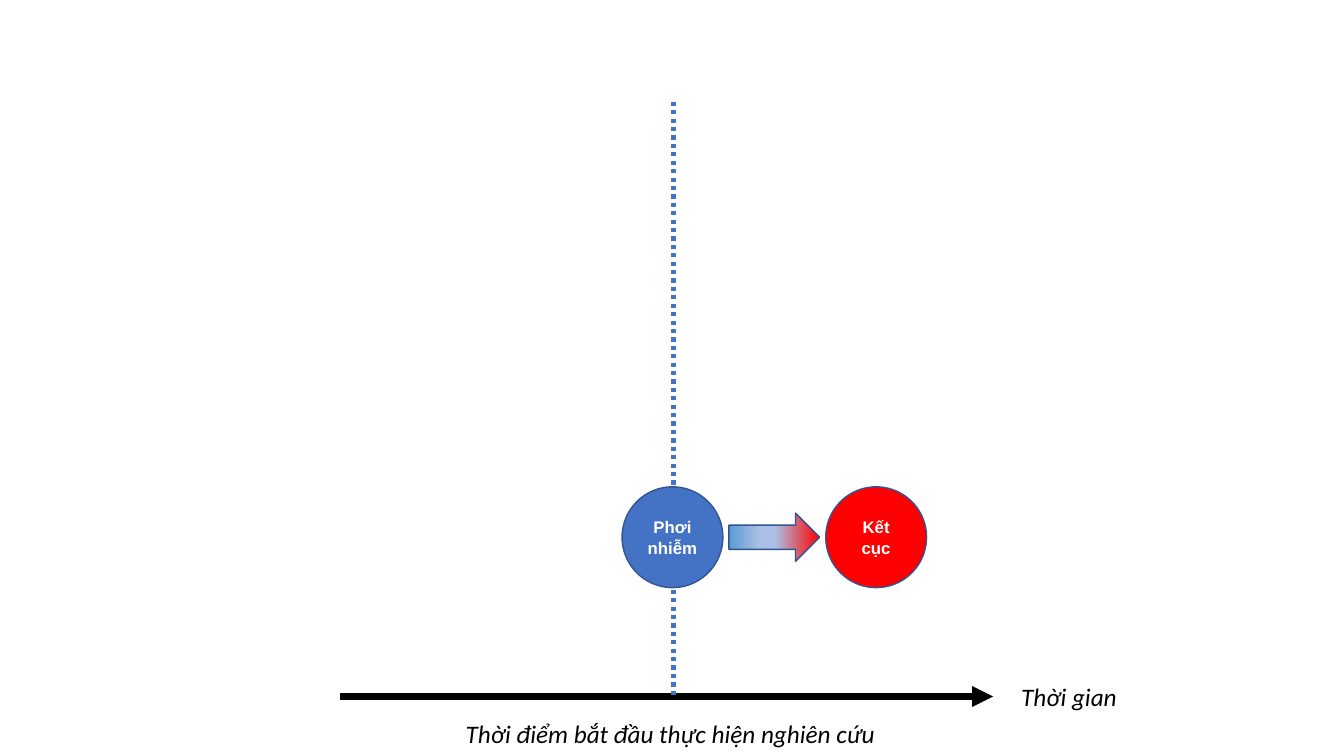
"""Draw a cohort study timeline from exposure to outcome."""
from dataclasses import dataclass

import lxml.etree
import pptx
import pptx.dml.color
import pptx.enum.dml
import pptx.enum.shapes
import pptx.enum.text
import pptx.oxml.ns
import pptx.shapes.autoshape
import pptx.shapes.base
import pptx.slide
import pptx.text.text
import pptx.util

Inches = pptx.util.Inches
Form = pptx.enum.shapes.MSO_SHAPE
qn = pptx.oxml.ns.qn

COLORS = {
    "ink": "000000",
    "white": "FFFFFF",
    "blue": "4472C4",
    "red": "FF0000",
    "edge": "325491",
    "sky": "5B9BD5",
    "pale": "ABC0E4",
}
BLEND = ((0, "sky"), (34, "pale"), (51, "pale"), (100, "red"))


@dataclass
class Rule:
    start: tuple[float, float]
    end: tuple[float, float]
    color: str
    width: float
    dotted: bool = False
    arrow: bool = False


@dataclass
class Label:
    text: str
    left: float
    top: float
    width: float
    height: float = 0.4


@dataclass
class Stage:
    text: str
    left: float
    color: str
    top: float = 4.83
    size: float = 1


AXIS = Rule((3.37, 6.91), (9.85, 6.91), "ink", 5, arrow=True)
START = Rule((6.68, 1.01), (6.68, 6.9), "blue", 3, dotted=True)
LABELS = (
    Label("Thời gian", 10.03, 6.71, 1.15),
    Label("Thời điểm bắt đầu thực hiện nghiên cứu", 4.52, 7.08, 4.31),
)
STAGES = (Stage("Phơi nhiễm", 6.17, "blue"), Stage("Kết cục", 8.19, "red"))


def tint(name: str) -> pptx.dml.color.RGBColor:
    return pptx.dml.color.RGBColor.from_string(COLORS[name])


def style(frame: pptx.text.text.TextFrame, face: str, size: int, color: str,
          bold: bool = False, italic: bool = False) -> None:
    for part in frame.paragraphs:
        for run in part.runs:
            run.font.name = face
            run.font.size = pptx.util.Pt(size)
            run.font.bold = bold
            run.font.italic = italic
            run.font.color.rgb = tint(color)


def draw_rule(slide: pptx.slide.Slide, rule: Rule) -> None:
    ends = [Inches(n) for n in (*rule.start, *rule.end)]
    kind = pptx.enum.shapes.MSO_CONNECTOR.STRAIGHT
    shape = slide.shapes.add_connector(kind, *ends)
    shape.line.width = pptx.util.Pt(rule.width)
    shape.line.color.rgb = tint(rule.color)
    if rule.dotted:
        shape.line.dash_style = pptx.enum.dml.MSO_LINE.ROUND_DOT
    props = shape._element.spPr
    if rule.arrow:
        lxml.etree.SubElement(props.find(qn("a:ln")), qn("a:tailEnd"), type="triangle")
    lxml.etree.SubElement(props, qn("a:effectLst"))


def draw_label(slide: pptx.slide.Slide, label: Label) -> None:
    box = (label.left, label.top, label.width, label.height)
    frame = slide.shapes.add_textbox(*map(Inches, box)).text_frame
    frame.word_wrap = False
    frame.auto_size = pptx.enum.text.MSO_AUTO_SIZE.SHAPE_TO_FIT_TEXT
    frame.text = label.text
    style(frame, "Calibri", 18, "ink", italic=True)


def add_form(slide: pptx.slide.Slide, kind: Form,
             *box: float) -> pptx.shapes.autoshape.Shape:
    shape = slide.shapes.add_shape(kind, *map(Inches, box))
    shape.shadow.inherit = False
    shape.line.color.rgb = tint("edge")
    shape.line.width = pptx.util.Pt(1)
    return shape


def draw_stage(slide: pptx.slide.Slide, stage: Stage) -> None:
    shape = add_form(slide, Form.OVAL, stage.left, stage.top, stage.size, stage.size)
    shape.fill.solid()
    shape.fill.fore_color.rgb = tint(stage.color)
    frame = shape.text_frame
    frame.text = stage.text
    frame.vertical_anchor = pptx.enum.text.MSO_ANCHOR.MIDDLE
    frame.paragraphs[0].alignment = pptx.enum.text.PP_ALIGN.CENTER
    style(frame, "Arial", 12, "white", bold=True)


def draw_arrow(slide: pptx.slide.Slide) -> None:
    shape = add_form(slide, Form.RIGHT_ARROW, 7.23, 5.09, 0.9, 0.48)
    shape.fill.gradient()
    shape.fill.gradient_angle = 0
    stops = shape._element.spPr.find(qn("a:gradFill")).find(qn("a:gsLst"))
    for stop in list(stops):
        stops.remove(stop)
    for place, color in BLEND:
        stop = lxml.etree.SubElement(stops, qn("a:gs"), pos=str(place * 1000))
        lxml.etree.SubElement(stop, qn("a:srgbClr"), val=COLORS[color])


def main() -> None:
    deck = pptx.Presentation()
    deck.slide_width = Inches(13.33)
    deck.slide_height = Inches(7.5)
    slide = deck.slides.add_slide(deck.slide_layouts[6])
    for rule in (AXIS, START):
        draw_rule(slide, rule)
    for label in LABELS:
        draw_label(slide, label)
    for stage in STAGES:
        draw_stage(slide, stage)
    draw_arrow(slide)
    deck.save("out.pptx")


if __name__ == "__main__":
    main()
